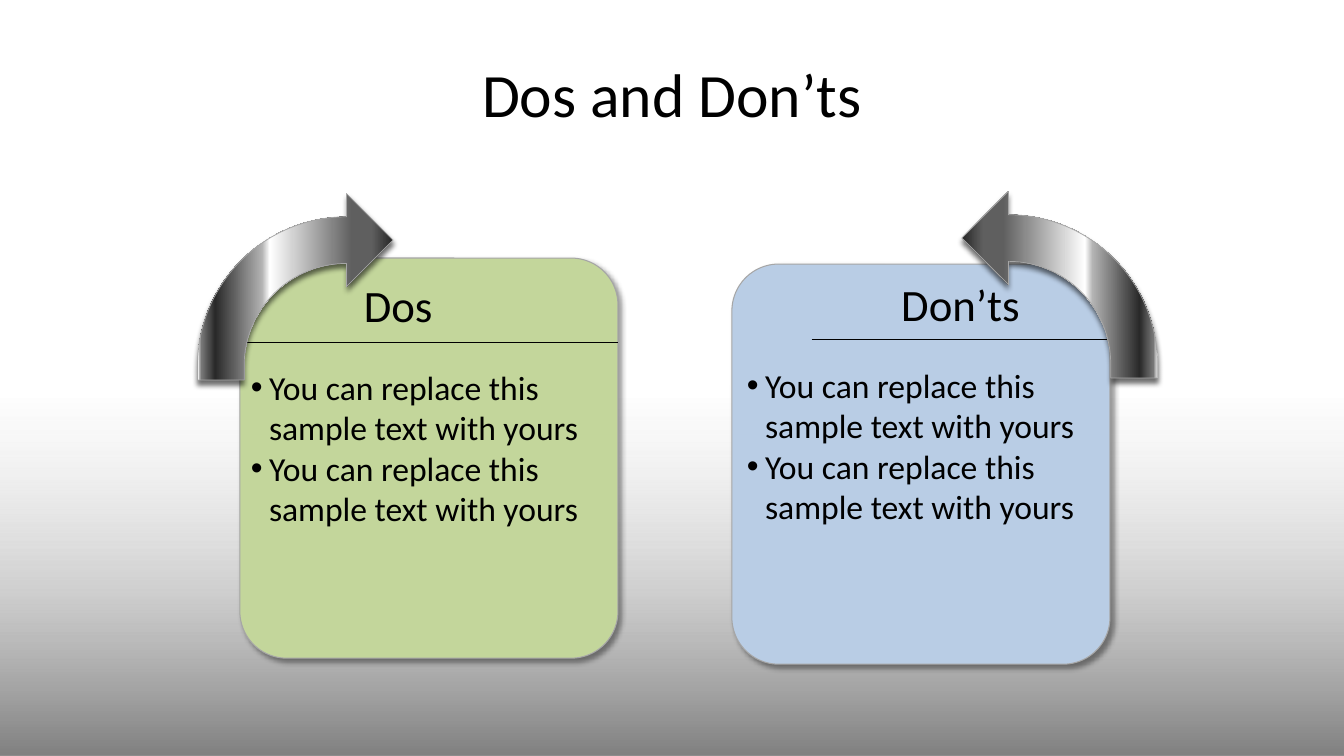
from dataclasses import dataclass

from lxml import etree
from pptx import Presentation
from pptx.dml.color import RGBColor
from pptx.enum.shapes import MSO_CONNECTOR, MSO_SHAPE
from pptx.enum.text import MSO_ANCHOR, PP_ALIGN
from pptx.oxml.ns import qn
from pptx.util import Inches, Pt

STRAIGHT = MSO_CONNECTOR.STRAIGHT
RECTANGLE = MSO_SHAPE.RECTANGLE
ROUNDED = MSO_SHAPE.ROUNDED_RECTANGLE
BENT_ARROW = MSO_SHAPE.BENT_ARROW
LEFT, CENTER = PP_ALIGN.LEFT, PP_ALIGN.CENTER
TOP, MIDDLE = MSO_ANCHOR.TOP, MSO_ANCHOR.MIDDLE


@dataclass(frozen=True)
class Theme:
    font: str = "Calibri"
    ink: str = "000000"
    edge: str = "A6A6A6"
    green: str = "C3D69B"
    blue: str = "B9CDE5"
    title_size: int = 44
    heading_size: int = 32
    body_size: int = 24
    floor: tuple = ((0, "D9D9D9", 4), (46, "BFBFBF", 60), (100, "808080", 100))
    metal: tuple = (
        (0, "262626", 100), (11, "5F5F5F", 100), (21, "5F5F5F", 100), (63, "FFFFFF", 100),
        (67, "B2B2B2", 100), (91, "292929", 100), (98, "777777", 100), (100, "EAEAEA", 100),
    )


@dataclass(frozen=True)
class Panel:
    heading: str
    color: str
    card: tuple
    rule: tuple
    arrow: tuple
    heading_box: tuple
    body_box: tuple
    mirrored: bool = False


THEME = Theme()
BULLETS = ["You can replace this sample text with yours"] * 2
PANELS = [
    Panel("Dos", THEME.green, (17.85, 34.13, 28.13, 52.93), (17.85, 45.98, 45.33),
          (14.7, 25.6, 14.55, 24.67), (26.33, 36.13, 6.75, 9.47), (17.93, 47.87, 28.1, 28.27)),
    Panel("Don’ts", THEME.blue, (54.46, 34.93, 28.13, 52.93), (60.39, 82.59, 44.93),
          (71.57, 25.33, 14.55, 24.67), (66.32, 36, 10.35, 9.47), (54.84, 47.6, 28.1, 28.27), True),
]


def add(parent, tag, **attributes):
    values = {name: str(value) for name, value in attributes.items()}
    return etree.SubElement(parent, qn(tag), values)


def add_color(parent, color, opacity):
    node = add(parent, "a:srgbClr", val=color)
    if opacity < 100:
        add(node, "a:alpha", val=opacity * 1000)


def write(frame, lines, *, size, theme, align=LEFT, anchor=TOP, wrap=True, bullet=None):
    frame.word_wrap = wrap
    frame.vertical_anchor = anchor
    for index, line in enumerate(lines):
        para = frame.paragraphs[0] if index == 0 else frame.add_paragraph()
        para.alignment = align
        if bullet:
            properties = para._p.get_or_add_pPr()
            indent = Inches(0.18)
            properties.set("marL", str(indent))
            properties.set("indent", str(-indent))
            add(properties, "a:buFont", typeface="Arial")
            add(properties, "a:buChar", char=bullet)
        span = para.add_run()
        span.text = line
        span.font.size = Pt(size)
        span.font.name = theme.font
        span.font.color.rgb = RGBColor.from_string(theme.ink)


class Page:
    def __init__(self, deck, theme):
        self.theme = theme
        self.width, self.height = deck.slide_width, deck.slide_height
        self.slide = deck.slides.add_slide(deck.slide_layouts[5])
        self.shapes = self.slide.shapes

    def x(self, share):
        return round(self.width * share / 100)

    def y(self, share):
        return round(self.height * share / 100)

    def area(self, box):
        left, top, width, height = box
        return self.x(left), self.y(top), self.x(width), self.y(height)

    def title(self, text, box):
        title = self.slide.shapes.title
        title.left, title.top, title.width, title.height = self.area(box)
        write(title.text_frame, [text], size=self.theme.title_size, theme=self.theme,
              align=CENTER, anchor=MIDDLE)

    def text(self, lines, box, **style):
        textbox = self.shapes.add_textbox(*self.area(box))
        write(textbox.text_frame, lines, theme=self.theme, **style)

    def shape(self, kind, box, *, color=None, stops=None, angle=0, line=None,
              adjustments=(), shadow=None, mirrored=False):
        shape = self.shapes.add_shape(kind, *self.area(box))
        shape.shadow.inherit = False
        for index, value in enumerate(adjustments):
            shape.adjustments[index] = value
        if mirrored:
            shape.element.spPr.xfrm.set("flipH", "1")
        if color:
            shape.fill.solid()
            shape.fill.fore_color.rgb = RGBColor.from_string(color)
        else:
            self.gradient(shape, stops, angle)
        if line:
            shape.line.color.rgb = RGBColor.from_string(self.theme.edge)
            shape.line.width = Pt(line)
        else:
            shape.line.fill.background()
        if shadow:
            opacity, direction = shadow
            effects = shape.element.spPr.find(qn("a:effectLst"))
            cast = add(effects, "a:outerShdw", blurRad=Pt(4), dist=Pt(3),
                       dir=direction * 60000, algn="ctr", rotWithShape=0)
            add_color(cast, self.theme.ink, opacity)
        return shape

    def gradient(self, shape, stops, angle):
        shape.fill.background()
        blank = shape.element.spPr.find(qn("a:noFill"))
        fill = etree.Element(qn("a:gradFill"), rotWithShape="1")
        stop_list = add(fill, "a:gsLst")
        for position, color, opacity in stops:
            add_color(add(stop_list, "a:gs", pos=position * 1000), color, opacity)
        add(fill, "a:lin", ang=angle * 60000, scaled=0)
        blank.getparent().replace(blank, fill)

    def rule(self, start, end, level):
        line = self.shapes.add_connector(STRAIGHT, self.x(start), self.y(level),
                                         self.x(end), self.y(level))
        line.line.color.rgb = RGBColor.from_string(self.theme.ink)
        line.line.width = Pt(0.75)
        add(line.element.spPr, "a:effectLst")

    def floor(self):
        floor = self.shape(RECTANGLE, (0, 52.67, 100, 47.33), stops=self.theme.floor, angle=90)
        self.slide.shapes.title.element.addprevious(floor.element)

    def panel(self, panel):
        self.shapes = self.slide.shapes.add_group_shape().shapes
        self.shape(ROUNDED, panel.card, color=panel.color, line=0.75,
                   adjustments=[0.124], shadow=(40, 45))
        self.rule(*panel.rule)
        self.shape(BENT_ARROW, panel.arrow, stops=self.theme.metal, angle=180, line=0.5,
                   adjustments=[0.25, 0.25, 0.25, 0.8], shadow=(56, 90), mirrored=panel.mirrored)
        self.text(BULLETS, panel.body_box, size=self.theme.body_size, bullet="•")
        self.text([panel.heading], panel.heading_box, size=self.theme.heading_size, wrap=False)
        self.shapes = self.slide.shapes


def main():
    deck = Presentation()
    deck.slide_width, deck.slide_height = Inches(13.33), Inches(7.5)
    page = Page(deck, THEME)
    page.title("Dos and Don’ts", (5, 4, 90, 16.67))
    page.floor()
    for panel in PANELS:
        page.panel(panel)
    deck.save("out.pptx")


if __name__ == "__main__":
    main()
